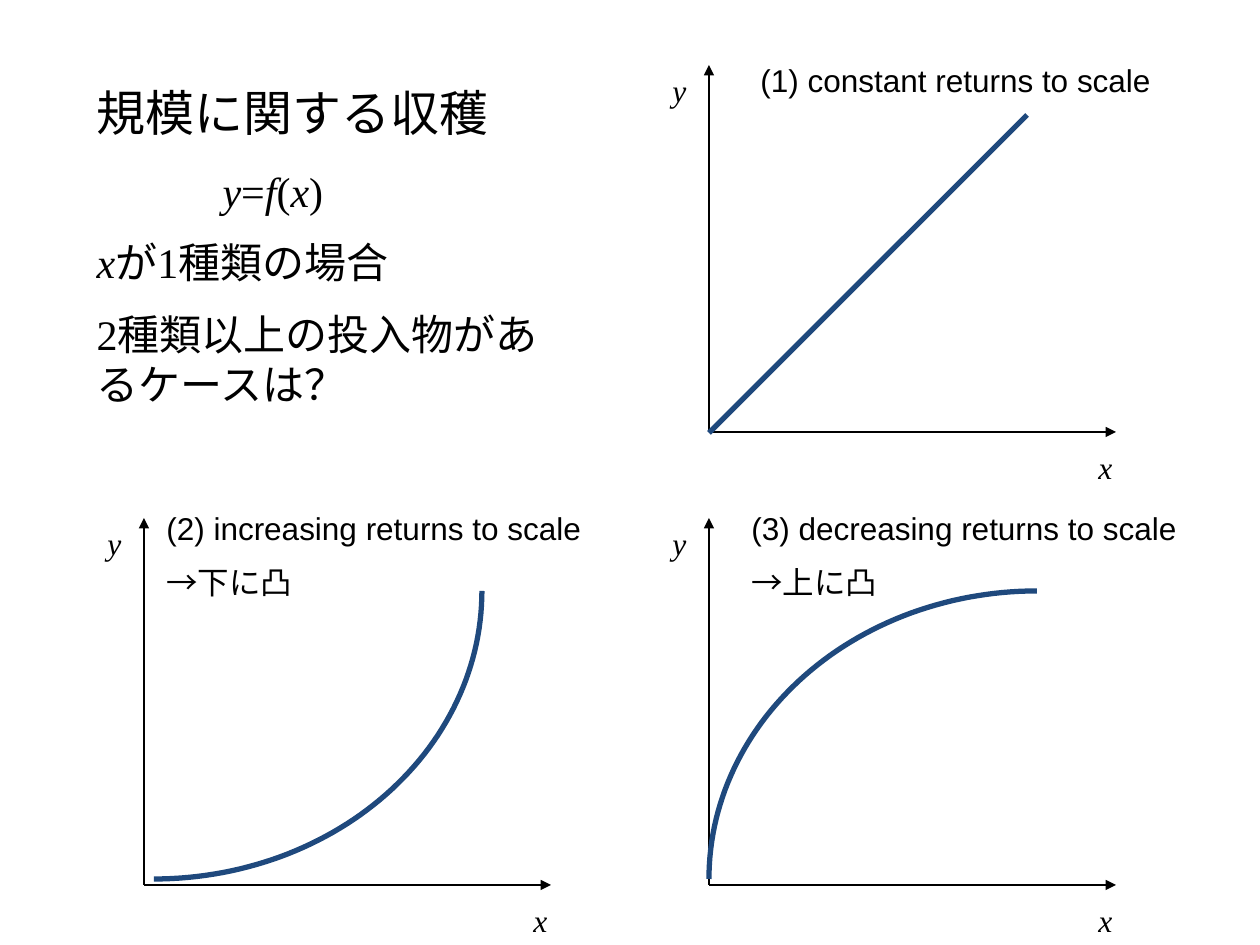
import math

import pptx
import pptx.dml.color
import pptx.enum.shapes
import pptx.enum.text
import pptx.oxml.ns
import pptx.util
from lxml import etree

EMU_PER_PX = 914400 / 126
SERIF = "Times New Roman"
SANS = "Arial"
BLACK = "000000"
BLUE = "1F497D"


def px(*lengths):
    """Turn pixel lengths into a list of EMU."""
    return [pptx.util.Emu(round(length * EMU_PER_PX)) for length in lengths]


def write(shape, text, size=18, font=SANS, wrap=False, indent=0):
    """Fill a shape with one paragraph a line; parts between asterisks are italic."""
    frame = shape.text_frame
    frame.word_wrap = wrap
    frame.auto_size = pptx.enum.text.MSO_AUTO_SIZE.NONE
    frame.vertical_anchor = pptx.enum.text.MSO_ANCHOR.TOP
    for number, line in enumerate(text.split("\n")):
        paragraph = frame.add_paragraph() if number else frame.paragraphs[0]
        paragraph.alignment = pptx.enum.text.PP_ALIGN.LEFT
        paragraph.space_before = pptx.util.Pt(size / 2 if number else 0)
        properties = paragraph._p.get_or_add_pPr()
        properties.set("marL", str(0 if number else px(indent)[0]))
        properties.set("indent", "0")
        etree.SubElement(properties, pptx.oxml.ns.qn("a:buNone"))
        for part, words in enumerate(line.split("*")):
            if words:
                run = paragraph.add_run()
                run.text = words
                run.font.size = pptx.util.Pt(size)
                run.font.name = font
                run.font.italic = part % 2 == 1
                run.font.color.rgb = pptx.dml.color.RGBColor.from_string(BLACK)


presentation = pptx.Presentation()
presentation.slide_width, presentation.slide_height = px(1260, 945)
slide = presentation.slides.add_slide(presentation.slide_layouts[1])
shapes = slide.shapes

# Title and explanation
title, body = shapes.title, slide.placeholders[1]
title.left, title.top, title.width, title.height = px(84, 76, 496, 80)
write(title, "規模に関する収穫", size=28, wrap=True)
body.left, body.top, body.width, body.height = px(84, 159, 496, 264)
write(body, "*y*=*f*(*x*)\n*x*が1種類の場合\n2種類以上の投入物があるケースは？",
      size=24, font=SERIF, wrap=True, indent=126)

# Axes, axis names and the line of constant returns
lines = []
for origin_x, origin_y in [(144, 885), (709, 885), (709, 432)]:
    lines.append((origin_x, origin_y, origin_x + 407, origin_y, BLACK, 0.75))
    lines.append((origin_x, origin_y, origin_x, origin_y - 367, BLACK, 0.75))
    for name, left, top in [("x", 377, 10), ("y", -49, -367)]:
        box = shapes.add_textbox(*px(origin_x + left, origin_y + top, 39, 50))
        write(box, f"*{name}*", font=SERIF)
lines.append((709, 433, 1027, 115, BLUE, 3))

for *ends, color, width in lines:
    connector = shapes.add_connector(pptx.enum.shapes.MSO_CONNECTOR.STRAIGHT, *px(*ends))
    connector.line.color.rgb = pptx.dml.color.RGBColor.from_string(color)
    connector.line.width = pptx.util.Pt(width)
    if color == BLACK:
        etree.SubElement(connector.line._get_or_add_ln(),
                         pptx.oxml.ns.qn("a:tailEnd"), type="triangle")
    etree.SubElement(connector._element.spPr, pptx.oxml.ns.qn("a:effectLst"))

# Quarter ellipses: centre and starting angle
for center_x, center_y, start in [(154, 591, 0), (1037, 879, 180)]:
    angles = [math.radians(start + step * 1.5) for step in range(61)]
    points = [px(center_x + 328 * math.cos(angle), center_y + 288 * math.sin(angle))
              for angle in angles]
    builder = shapes.build_freeform(*points[0])
    builder.add_line_segments(points[1:], close=False)
    curve = builder.convert_to_shape()
    curve.shadow.inherit = False
    curve.fill.background()
    curve.line.color.rgb = pptx.dml.color.RGBColor.from_string(BLUE)
    curve.line.width = pptx.util.Pt(3)

# Chart headings
for text, *place in [
    ("(1) constant returns to scale", 748, 55, 417, 50),
    ("(2) increasing returns to scale\n→下に凸", 154, 503, 466, 108),
    ("(3) decreasing returns to scale\n→上に凸", 739, 503, 476, 108),
]:
    write(shapes.add_textbox(*px(*place)), text)

presentation.save("out.pptx")
